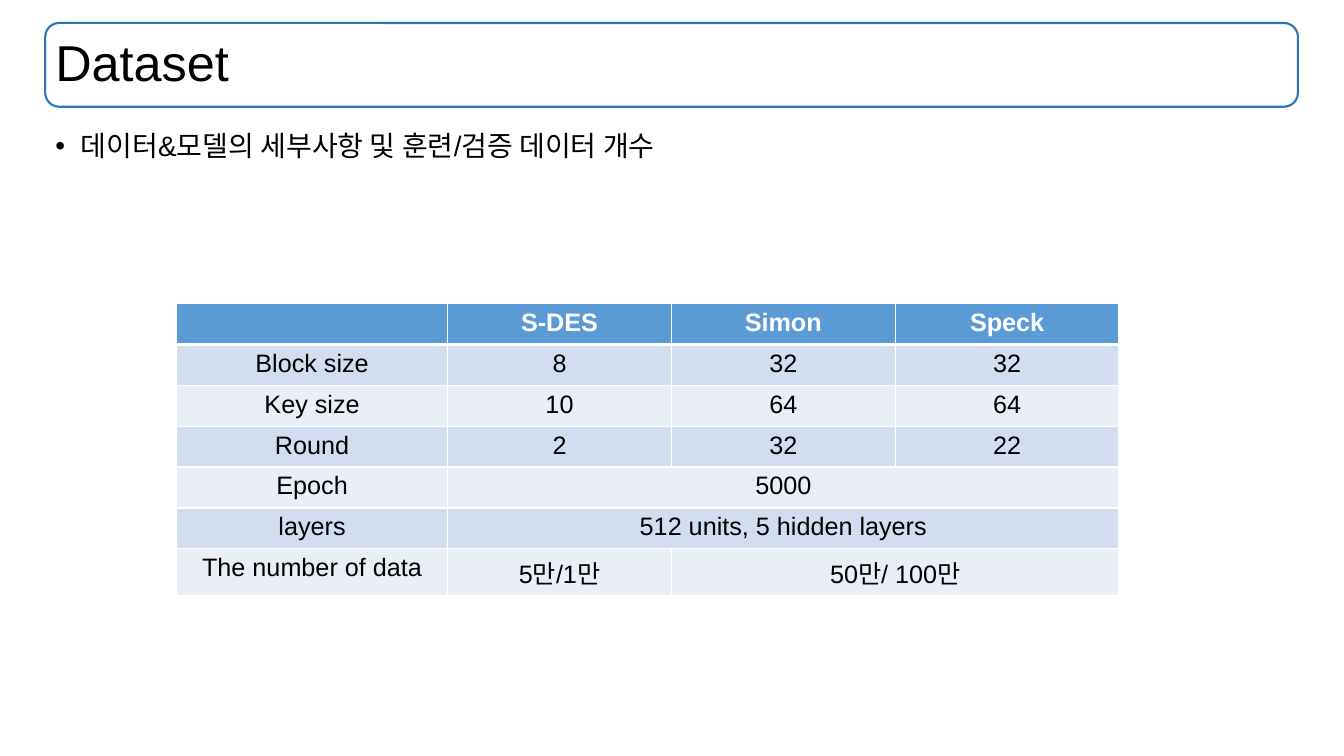
from dataclasses import dataclass

from lxml.etree import SubElement as Sub
from pptx import Presentation
from pptx.dml.color import RGBColor as RGB
from pptx.enum.shapes import MSO_SHAPE as Shape
from pptx.enum.text import MSO_ANCHOR as Anchor, MSO_AUTO_SIZE as Fit, PP_ALIGN as Align
from pptx.oxml.ns import qn
from pptx.util import Cm, Pt


@dataclass(frozen=True)
class Theme:
    font: str = "Arial"
    black: str = "000000"
    white: str = "FFFFFF"
    frame: str = "2E75B6"
    head: str = "5B9BD5"
    bands: tuple = ("EAEFF7", "D2DEEF")
    title: int = 36
    body: int = 20
    cell: int = 18


theme = Theme()


def write(frame, text, size, color=theme.black, bold=False, align=Align.LEFT, lead=1.0):
    para = frame.paragraphs[0]
    para.alignment = align
    para.line_spacing = lead
    para.space_before = Pt(0)
    run = para.add_run()
    run.text = text
    run.font.name = theme.font
    run.font.size = Pt(size)
    run.font.bold = bold
    run.font.color.rgb = RGB.from_string(color)
    return para


def edge(cell, side, width):
    """Draw one white border; call before the cell is filled."""
    line = Sub(cell._tc.get_or_add_tcPr(), qn(f"a:ln{side}"), w=str(Pt(width)))
    Sub(Sub(line, qn("a:solidFill")), qn("a:srgbClr"), val=theme.white)


deck = Presentation()
deck.slide_width, deck.slide_height = Cm(33.87), Cm(19.05)
slide = deck.slides.add_slide(deck.slide_layouts[1])
shapes = slide.shapes
left, wide = Cm(1.14), Cm(31.57)
top, high = Cm(0.58), Cm(2.11)

# Title in its rounded frame
bar = shapes.add_shape(Shape.ROUNDED_RECTANGLE, left, top, wide, high)
bar.shadow.inherit = False
bar.fill.background()
bar.line.color.rgb = RGB.from_string(theme.frame)
bar.line.width = Pt(1.5)
shapes._spTree.insert(2, bar._element)

title = shapes.title
title.left, title.top, title.width, title.height = left, top, wide, high
title.text_frame.auto_size = Fit.NONE
title.text_frame.vertical_anchor = Anchor.MIDDLE
write(title.text_frame, "Dataset", theme.title, lead=0.9)

# Bullet
body = slide.placeholders[1]
body.left, body.top, body.width, body.height = left, Cm(3.2), wide, Cm(14.05)
body.text_frame.auto_size = Fit.NONE
item = write(body.text_frame, "데이터&모델의 세부사항 및 훈련/검증 데이터 개수", theme.body, lead=0.9)
props = item._p.get_or_add_pPr()
props.set("marL", str(Cm(0.64)))
props.set("indent", str(-Cm(0.64)))
Sub(props, qn("a:buFont"), typeface=theme.font)
Sub(props, qn("a:buChar"), char="•")

# Table: a row with fewer values stretches its last one to the right edge
rows = [
    ["", "S-DES", "Simon", "Speck"],
    ["Block size", "8", "32", "32"],
    ["Key size", "10", "64", "64"],
    ["Round", "2", "32", "22"],
    ["Epoch", "5000"],
    ["layers", "512 units, 5 hidden layers"],
    ["The number of data", "5만/1만", "50만/ 100만"],
]
widths = [Cm(6.83)] + [Cm(5.64)] * 3
step = Cm(1.03)
grid = shapes.add_table(len(rows), len(widths), Cm(4.45), Cm(7.65),
                        sum(widths), step * len(rows)).table
for col, width in zip(grid.columns, widths):
    col.width = width

for r, row in enumerate(rows):
    grid.rows[r].height = step
    head = r == 0
    for c in range(len(widths)):
        cell = grid.cell(r, c)
        for side in "LRTB":
            thick = side == "B" and head or side == "T" and r == 1
            edge(cell, side, 3 if thick else 1)
        cell.fill.solid()
        cell.fill.fore_color.rgb = RGB.from_string(theme.head if head else theme.bands[r % 2])
        if c < len(row) and row[c]:
            write(cell.text_frame, row[c], theme.cell, bold=head, align=Align.CENTER,
                  color=theme.white if head else theme.black)
    if len(row) < len(widths):
        grid.cell(r, len(row) - 1).merge(grid.cell(r, len(widths) - 1))

deck.save("out.pptx")
